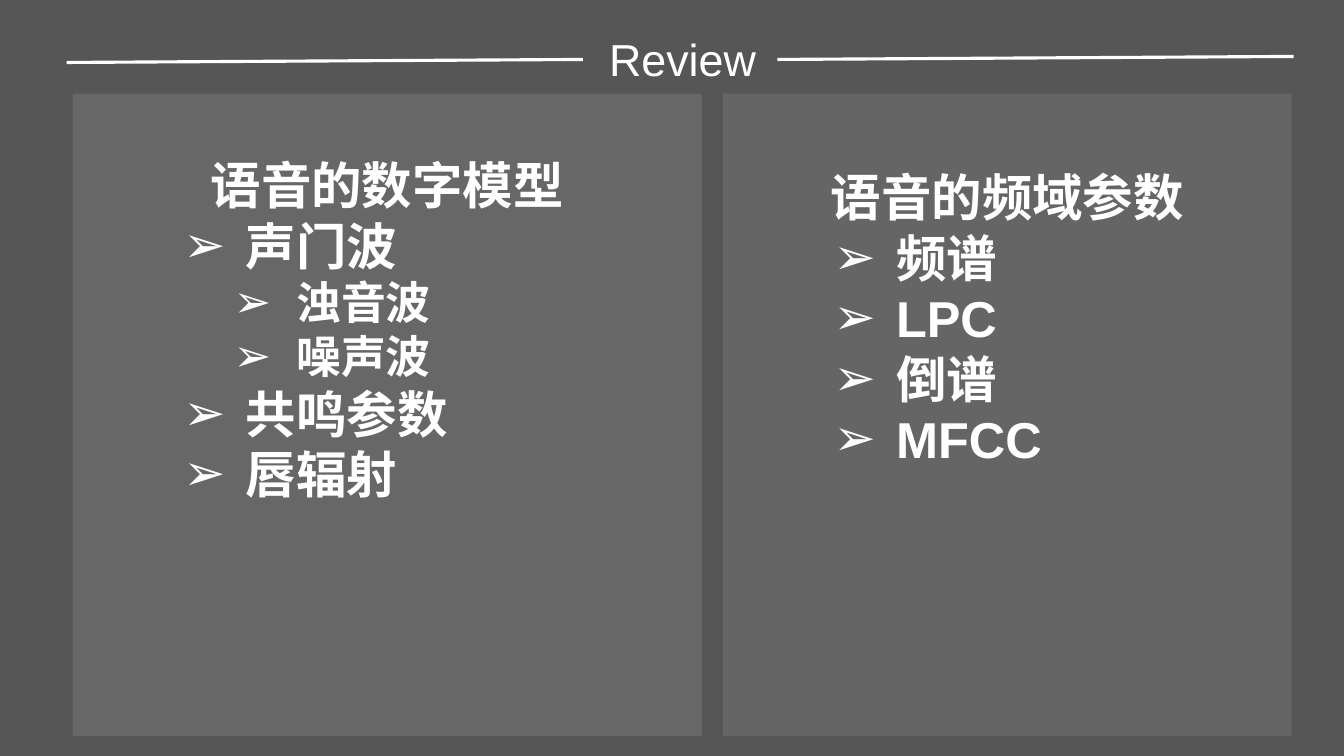
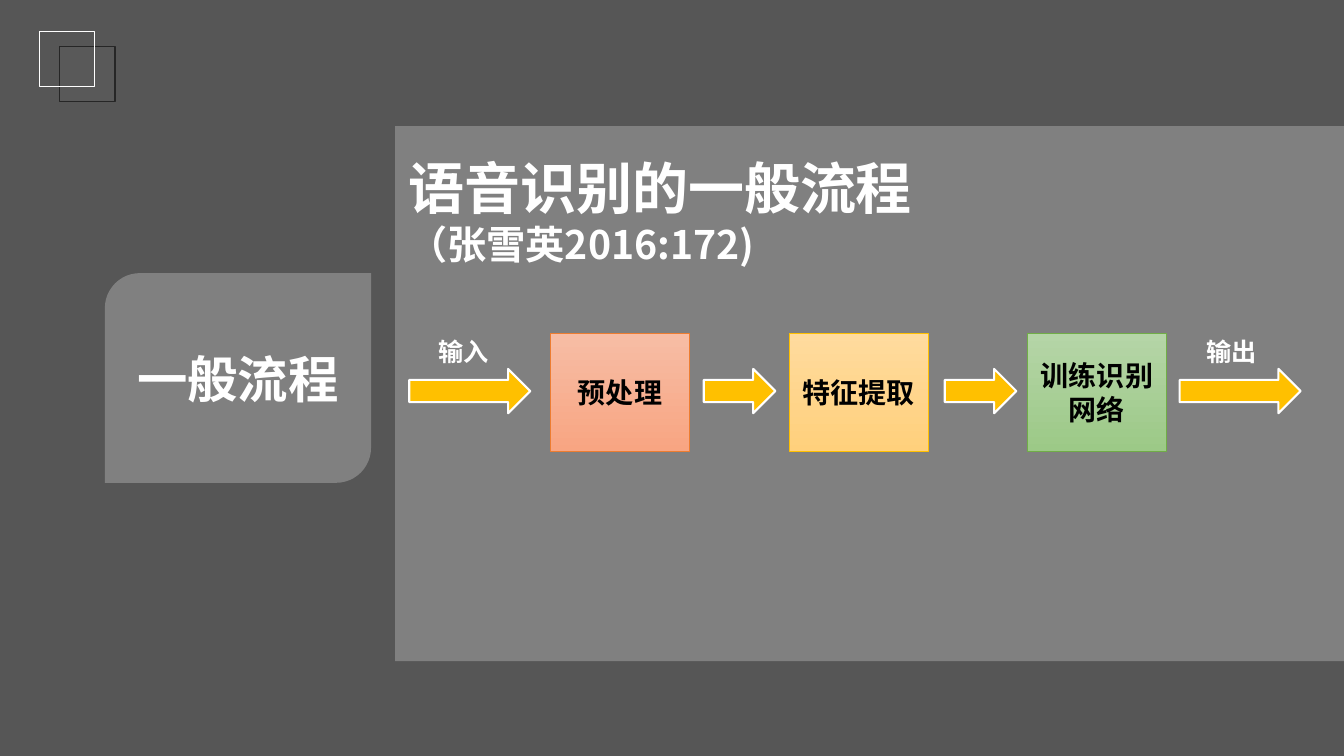
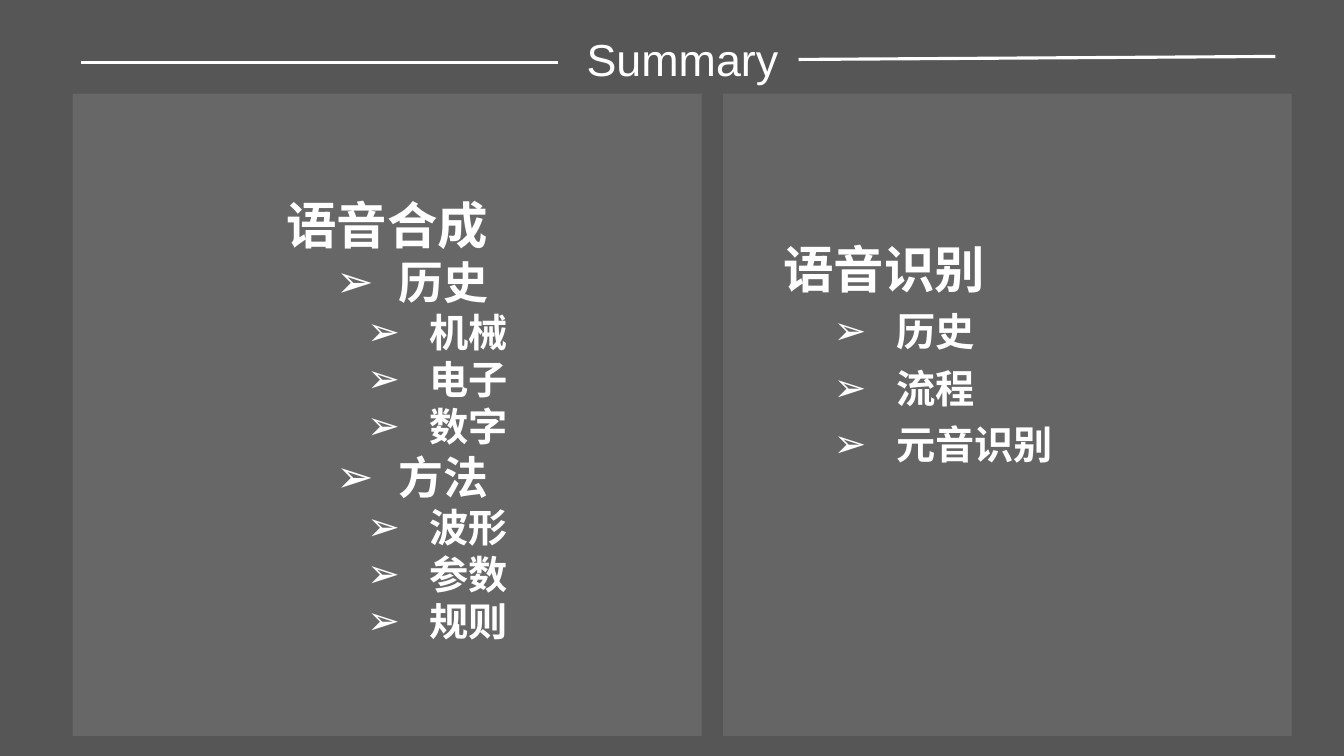
from dataclasses import dataclass

from lxml.etree import SubElement
from pptx import Presentation
from pptx.dml.color import RGBColor
from pptx.enum.shapes import MSO_CONNECTOR, MSO_SHAPE
from pptx.enum.text import MSO_ANCHOR, MSO_AUTO_SIZE, PP_ALIGN
from pptx.oxml.ns import qn
from pptx.util import Inches, Pt


@dataclass(frozen=True)
class Theme:
    back: str = "565656"
    white: str = "FFFFFF"
    pale: str = "F2F2F2"
    black: str = "000000"
    gold: str = "FFC000"
    gray: str = "595959"
    dark: str = "262626"
    latin: str = "Arial"
    cjk: str = "Noto Sans CJK SC"
    huge: int = 40
    head: int = 36
    big: int = 32
    mid: int = 28
    node: int = 20
    label: int = 18
    rule: float = 2.25
    lead: float = 1.2  # line height per point of type
    loose: float = 1.44


T = Theme()
LEFT, MIDDLE = PP_ALIGN.LEFT, PP_ALIGN.CENTER

# Two-panel slides. Line: text, size, left margin (0 means no bullet)
PANELS = [(0.72, 6.24, T.white), (7.17, 5.64, T.pale)]
REVIEW = {
    "title": "Review",
    "rules": [(0.66, 0.62, 5.78, 0.59), (7.71, 0.59, 12.83, 0.56)],
    "panels": [
        {"head": "语音的数字模型", "top": 0.6, "lines": [
            ("声门波", T.head, 1.62), ("浊音波", T.big, 2.12),
            ("噪声波", T.big, 2.12), ("共鸣参数", T.head, 1.62),
            ("唇辐射", T.head, 1.62)]},
        {"head": "语音的频域参数", "top": 0.72, "lines": [
            (word, T.head, 1.62) for word in ("频谱", "LPC", "倒谱", "MFCC")]},
    ],
}
SUMMARY = {
    "title": "Summary",
    "rules": [(0.8, 0.62, 5.53, 0.62), (7.92, 0.59, 12.65, 0.56)],
    "panels": [
        {"head": "语音合成", "top": 1.0, "align": MIDDLE, "lines": [
            ("历史", T.big, 1.12), ("机械", T.mid, 1.62),
            ("电子", T.mid, 1.62), ("数字", T.mid, 1.62),
            ("方法", T.big, 1.12), ("波形", T.mid, 1.62),
            ("参数", T.mid, 1.62), ("规则", T.mid, 1.62)]},
        {"head": "语音识别", "top": 1.31, "margin": 0.5, "lead": T.loose,
         "font": T.cjk, "lines": [
             (word, T.mid, 1.62) for word in ("历史", "流程", "元音识别")]},
    ],
}

# Flow slide
TOPIC = "一般流程"
HEADING = [("语音识别的一般流程", T.huge), ("（张雪英2016:172)", T.mid)]
NODES = [
    ("预处理", "F7BDA5", "F8A582", "ED7D31"),
    ("特征提取", "FFDB9E", "FFD07C", "FFC000"),
    ("训练识别网络", "B5D5A7", "9CC987", "70AD47"),
]
ARROWS = [(4.06, 1.2), (6.98, 0.71), (9.37, 0.71), (11.7, 1.2)]
LABELS = [(4.0, "输入"), (11.62, "输出")]
SQUARES = [(0.59, 0.46, T.gray, T.dark), (0.39, 0.31, None, T.white)]


def rgb(code):
    return RGBColor.from_string(code)


def write(para, text, size, color=T.white, font=T.cjk, bold=True,
          align=LEFT, margin=0, bullet=False, lead=T.lead):
    para.text = text
    para.alignment = align
    para.line_spacing = Pt(round(size * lead, 1))
    props = para._p.get_or_add_pPr()
    props.set("marL", str(Inches(margin)))
    props.set("indent", str(Inches(-0.62 if bullet else 0)))
    if bullet:
        SubElement(props, qn("a:buFont")).set("typeface", T.latin)
        SubElement(props, qn("a:buChar")).set("char", "➢")
    face = para.font
    face.size, face.bold, face.name = Pt(size), bold, font
    face.color.rgb = rgb(color)
    SubElement(props.find(qn("a:defRPr")), qn("a:ea")).set("typeface", T.cjk)


def block(slide, kind, box, fill=None, alpha=None, line=None, width=1):
    shape = slide.shapes.add_shape(kind, *map(Inches, box))
    shape.shadow.inherit = False
    if fill:
        shape.fill.solid()
        shape.fill.fore_color.rgb = rgb(fill)
        if alpha:
            tint = shape.fill._xPr.find(".//" + qn("a:srgbClr"))
            SubElement(tint, qn("a:alpha")).set("val", str(alpha * 1000))
    else:
        shape.fill.background()
    if line:
        shape.line.color.rgb = rgb(line)
        shape.line.width = Pt(width)
    else:
        shape.line.fill.background()
    return shape


def place(slide, box, anchor):
    """Position the title above everything drawn so far."""
    title = slide.shapes.title
    slide.shapes._spTree.append(title._element)
    title.left, title.top, title.width, title.height = map(Inches, box)
    frame = title.text_frame
    frame.word_wrap, frame.auto_size = True, MSO_AUTO_SIZE.NONE
    frame.vertical_anchor = anchor
    return frame


def panel(slide, spot, data):
    left, width, fill = spot
    shape = block(slide, MSO_SHAPE.RECTANGLE, (left, 0.93, width, 6.37), fill, 10)
    frame = shape.text_frame
    frame.vertical_anchor = MSO_ANCHOR.TOP
    frame.margin_top = Inches(data["top"])
    look = {"font": data.get("font", T.latin), "lead": data.get("lead", T.lead)}
    margin = data.get("margin", 0)
    write(frame.paragraphs[0], data["head"], T.head, margin=margin,
          align=LEFT if margin else MIDDLE, **look)
    for text, size, indent in data["lines"]:
        write(frame.add_paragraph(), text, size, margin=indent, bullet=True,
              align=data.get("align", LEFT), **look)


def outline(slide, data):
    for spot, part in zip(PANELS, data["panels"]):
        panel(slide, spot, part)
    for ends in data["rules"]:
        rule = slide.shapes.add_connector(MSO_CONNECTOR.STRAIGHT, *map(Inches, ends))
        rule.line.color.rgb = rgb(T.white)
        rule.line.width = Pt(T.rule)
        SubElement(rule._element.spPr, qn("a:effectLst"))
    frame = place(slide, (5.17, 0.31, 3.2, 0.54), MSO_ANCHOR.MIDDLE)
    frame.margin_left = frame.margin_right = 0
    frame.margin_top = frame.margin_bottom = 0
    write(frame.paragraphs[0], data["title"], T.big, font=T.latin,
          bold=False, align=MIDDLE)


def flow(slide):
    # Corner squares, topic tab and panel
    for left, top, fill, line in SQUARES:
        block(slide, MSO_SHAPE.RECTANGLE, (left, top, 0.55, 0.55), fill, line=line)
    tab = block(slide, MSO_SHAPE.ROUND_2_DIAG_RECTANGLE,
                (1.04, 2.71, 2.64, 2.08), T.white, 25)
    tab.text_frame.vertical_anchor = MSO_ANCHOR.MIDDLE
    write(tab.text_frame.paragraphs[0], TOPIC, T.head, align=MIDDLE)
    block(slide, MSO_SHAPE.RECTANGLE, (3.92, 1.25, 9.42, 5.31), T.white, 25)

    # Heading
    frame = place(slide, (3.95, 1.47, 9.11, 1.3), MSO_ANCHOR.TOP)
    for i, (text, size) in enumerate(HEADING):
        para = frame.add_paragraph() if i else frame.paragraphs[0]
        write(para, text, size)

    # Steps and arrows
    for i, (text, light, deep, edge) in enumerate(NODES):
        node = block(slide, MSO_SHAPE.RECTANGLE,
                     (5.46 + i * 2.365, 3.31, 1.38, 1.17), line=edge, width=0.5)
        node.fill.gradient()
        node.fill.gradient_angle = 270
        for stop, color in zip(node.fill.gradient_stops, (light, deep)):
            stop.color.rgb = rgb(color)
        node.text_frame.vertical_anchor = MSO_ANCHOR.MIDDLE
        write(node.text_frame.paragraphs[0], text, T.node, T.black, align=MIDDLE)
    for left, width in ARROWS:
        block(slide, MSO_SHAPE.RIGHT_ARROW, (left, 3.66, width, 0.44),
              T.gold, line=T.white, width=1.5)
    for left, text in LABELS:
        label = slide.shapes.add_textbox(*map(Inches, (left, 3.29, 1.13, 0.37)))
        label.text_frame.word_wrap = True
        write(label.text_frame.paragraphs[0], text, T.label, margin=0.25)


def main():
    deck = Presentation()
    deck.slide_width, deck.slide_height = Inches(13.33), Inches(7.5)
    ground = deck.slide_master.background.fill
    ground.solid()
    ground.fore_color.rgb = rgb(T.back)
    layout = deck.slide_layouts.get_by_name("Title Only")
    outline(deck.slides.add_slide(layout), REVIEW)
    flow(deck.slides.add_slide(layout))
    outline(deck.slides.add_slide(layout), SUMMARY)
    deck.save("out.pptx")


if __name__ == "__main__":
    main()
